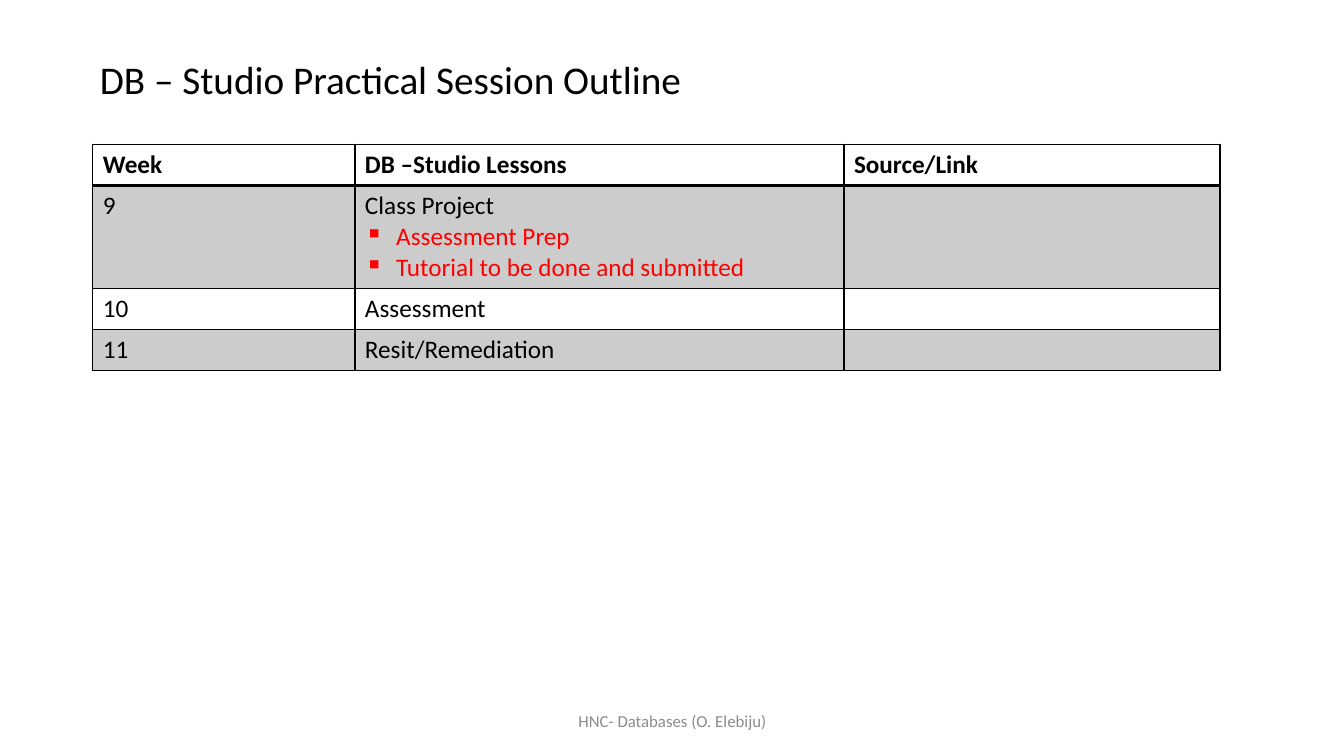
from lxml import etree
from pptx import Presentation
from pptx.dml.color import RGBColor
from pptx.enum.text import MSO_ANCHOR, PP_ALIGN
from pptx.oxml.ns import qn
from pptx.util import Inches, Pt

MIDDLE = MSO_ANCHOR.MIDDLE
LEFT, CENTER = PP_ALIGN.LEFT, PP_ALIGN.CENTER
BLACK, RED, GREY, BAND = "000000", "FF0000", "8C8C8C", "CCCCCC"


def add_text(p, text, size, color, bold=False):
    r = p.add_run()
    r.text = text
    for name, value in {"name": "Calibri", "size": Pt(size), "bold": bold}.items():
        setattr(r.font, name, value)
    r.font.color.rgb = RGBColor.from_string(color)


def add_border(cell, side, width):
    """Draw a solid black line on one side (L, R, T or B) of a cell."""
    ln = etree.SubElement(cell._tc.get_or_add_tcPr(), qn(f"a:ln{side}"), w=str(Pt(width)))
    fill = etree.SubElement(ln, qn("a:solidFill"))
    etree.SubElement(fill, qn("a:srgbClr"), val=BLACK)


prs = Presentation()
prs.slide_width, prs.slide_height = Inches(13.33), Inches(7.5)
s = prs.slides.add_slide(prs.slide_layouts[5])

# Title
title = s.shapes.title
title.left, title.top = Inches(0.89), Inches(0.36)
title.width, title.height = Inches(11.5), Inches(0.91)
title.text_frame.vertical_anchor = MIDDLE
p = title.text_frame.paragraphs[0]
p.alignment, p.line_spacing = LEFT, 0.9
add_text(p, "DB – Studio Practical Session Outline", 28, BLACK)

# Session table: each cell is a list of lines, the first plain and the rest bulleted
rows = [
    [["Week"], ["DB –Studio Lessons"], ["Source/Link"]],
    [["9"], ["Class Project", "Assessment Prep", "Tutorial to be done and submitted"], []],
    [["10"], ["Assessment"], []],
    [["11"], ["Resit/Remediation"], []],
]
col_widths = [2.6, 4.85, 3.73]
row_heights = [0.41, 1.02, 0.41, 0.41]
frame = s.shapes.add_table(len(rows), len(col_widths), Inches(0.92), Inches(1.43),
                           Inches(sum(col_widths)), Inches(sum(row_heights)))
table = frame.table
for col, width in zip(table.columns, col_widths):
    col.width = Inches(width)
for row, height in zip(table.rows, row_heights):
    row.height = Inches(height)

for i, row in enumerate(rows):
    for j, lines in enumerate(row):
        cell = table.cell(i, j)
        for side in "LRTB":
            heavy = (i, side) in [(0, "B"), (1, "T")]
            add_border(cell, side, 2 if heavy else 1)
        if i % 2:
            cell.fill.solid()
            cell.fill.fore_color.rgb = RGBColor.from_string(BAND)
        else:
            cell.fill.background()
        tf = cell.text_frame
        for k, line in enumerate(lines):
            p = tf.add_paragraph() if k else tf.paragraphs[0]
            if k:
                pPr = p._p.get_or_add_pPr()
                pPr.set("marL", str(Inches(0.31)))
                pPr.set("indent", str(-Inches(0.31)))
                etree.SubElement(pPr, qn("a:buChar"), char="▪")
            add_text(p, line, 18, RED if k else BLACK, bold=i == 0)

# Footer
footer = s.shapes.add_textbox(Inches(4.42), Inches(6.95), Inches(4.5), Inches(0.4))
tf = footer.text_frame
tf.word_wrap, tf.vertical_anchor = True, MIDDLE
p = tf.paragraphs[0]
p.alignment = CENTER
add_text(p, "HNC- Databases (O. Elebiju)", 12, GREY)

prs.save("out.pptx")
